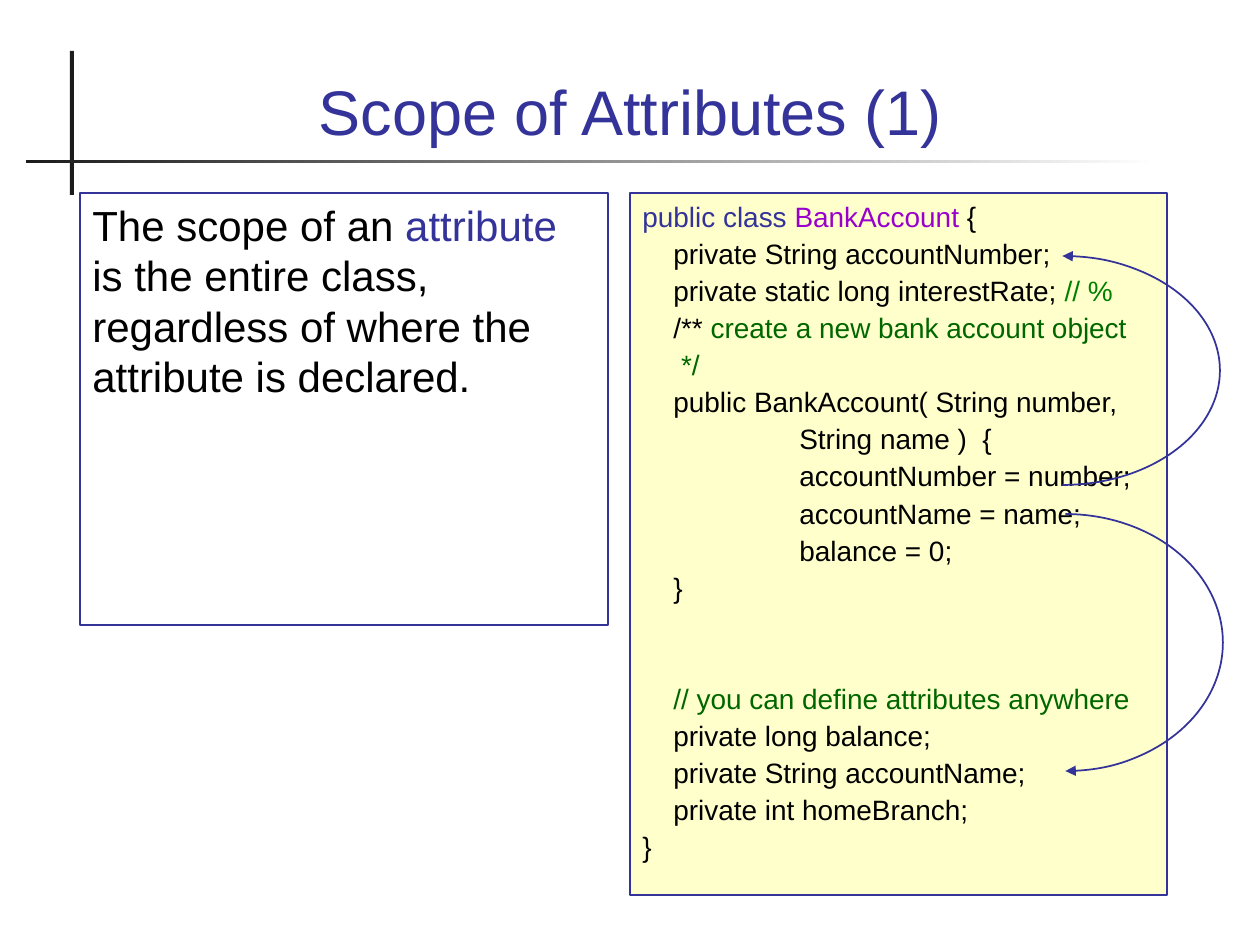
from dataclasses import dataclass

from pptx import Presentation
from pptx.dml.color import RGBColor
from pptx.enum.shapes import MSO_SHAPE
from pptx.enum.text import MSO_ANCHOR, PP_ALIGN
from pptx.util import Pt
from lxml import etree

RECT, ARC = MSO_SHAPE.RECTANGLE, MSO_SHAPE.ARC
TOP, BOTTOM = MSO_ANCHOR.TOP, MSO_ANCHOR.BOTTOM
LEFT, CENTER = PP_ALIGN.LEFT, PP_ALIGN.CENTER
DRAWING_NS = "{http://schemas.openxmlformats.org/drawingml/2006/main}"
EMU_PER_PX = 914400 / 126
BLANK_LAYOUT = 6


@dataclass(frozen=True)
class Theme:
    font: str = "Arial"
    title_size: int = 36
    body_size: int = 24
    code_size: int = 16
    line_width: int = 1
    blue: str = "333399"
    purple: str = "9900CC"
    green: str = "008000"
    dark_green: str = "006600"
    black: str = "000000"
    rule: str = "1C1C1C"
    white: str = "FFFFFF"
    cream: str = "FFFFCC"


THEME = Theme()


@dataclass(frozen=True)
class Area:
    left: int
    top: int
    width: int
    height: int

    def emu(self) -> list[int]:
        return [px(n) for n in (self.left, self.top, self.width, self.height)]


@dataclass(frozen=True)
class Span:
    text: str
    color: str = THEME.black


@dataclass(frozen=True)
class Line:
    spans: tuple[Span, ...]
    indent: int = 0
    before: float = 2


@dataclass(frozen=True)
class ScopeArrow:
    area: Area
    arrow_end: str


def px(length: int) -> int:
    return round(length * EMU_PER_PX)


def rgb(color: str) -> RGBColor:
    return RGBColor.from_string(color)


def code(text: str, indent: int = 0, color: str = THEME.black) -> Line:
    return Line((Span(text, color),), indent)


MEMBER, BODY = 31, 157  # code indents in px
BLANK_LINES = 44.4  # points left open above the late declarations

TITLE = [Line((Span("Scope of Attributes (1)", THEME.blue),))]
EXPLANATION = [Line((
    Span("The scope of an "),
    Span("attribute", THEME.blue),
    Span(" is the entire class, regardless of where the attribute is declared."),
))]
CODE = [
    Line((Span("public class ", THEME.blue), Span("BankAccount", THEME.purple), Span(" {"))),
    code("private String accountNumber;", MEMBER),
    Line((Span("private static long interestRate; "), Span("// %", THEME.green)), MEMBER),
    Line((Span("/** "), Span("create a new bank account object", THEME.dark_green)), MEMBER),
    code(" */", MEMBER, THEME.dark_green),
    code("public BankAccount( String number,", MEMBER),
    code("String name )  {", BODY),
    code("accountNumber = number;", BODY),
    code("accountName = name;", BODY),
    code("balance = 0;", BODY),
    code("}", MEMBER),
    Line((Span("// you can define attributes anywhere", THEME.dark_green),), MEMBER, BLANK_LINES),
    code("private long balance;", MEMBER),
    code("private String accountName;", MEMBER),
    code("private int homeBranch;", MEMBER),
    code("}"),
]
ARROWS = [
    ScopeArrow(Area(905, 256, 315, 229), "headEnd"),
    ScopeArrow(Area(908, 514, 315, 257), "tailEnd"),
]


def add_rule(page, area: Area, fades: bool = False) -> None:
    rule = page.shapes.add_shape(RECT, *area.emu())
    rule.shadow.inherit = False
    rule.line.fill.background()
    if fades:
        rule.fill.gradient()
        rule.fill.gradient_angle = 0
        for stop, color in zip(rule.fill.gradient_stops, (THEME.rule, THEME.white)):
            stop.color.rgb = rgb(color)
    else:
        rule.fill.solid()
        rule.fill.fore_color.rgb = rgb(THEME.rule)


def add_text(page, area: Area, lines: list[Line], size: int, align=LEFT, anchor=TOP):
    box = page.shapes.add_textbox(*area.emu())
    frame = box.text_frame
    frame.word_wrap = True
    frame.vertical_anchor = anchor
    for index, line in enumerate(lines):
        para = frame.add_paragraph() if index else frame.paragraphs[0]
        para.alignment = align
        if index:
            para.space_before = Pt(line.before)
        if line.indent:
            para._p.get_or_add_pPr().set("marL", str(px(line.indent)))
        for span in line.spans:
            run = para.add_run()
            run.text = span.text
            run.font.name = THEME.font
            run.font.size = Pt(size)
            run.font.color.rgb = rgb(span.color)
    return box


def outline(shape) -> None:
    shape.line.color.rgb = rgb(THEME.blue)
    shape.line.width = Pt(THEME.line_width)


def add_scope_arrow(page, arrow: ScopeArrow) -> None:
    arc = page.shapes.add_shape(ARC, *arrow.area.emu())
    arc.shadow.inherit = False
    arc.fill.background()
    # Right half of the ellipse, clockwise from 270 to 90 degrees
    arc.adjustments[0], arc.adjustments[1] = 162, 54
    outline(arc)
    etree.SubElement(arc.line._get_or_add_ln(), DRAWING_NS + arrow.arrow_end, type="triangle")


def main() -> None:
    deck = Presentation()
    deck.slide_width, deck.slide_height = px(1260), px(945)
    page = deck.slides.add_slide(deck.slide_layouts[BLANK_LAYOUT])

    # Crossed rules and title
    add_rule(page, Area(70, 51, 4, 144))
    add_rule(page, Area(26, 160, 1133, 3), fades=True)
    add_text(page, Area(85, 34, 1091, 120), TITLE, THEME.title_size, CENTER, BOTTOM)

    # Code listing and explanation
    listing = add_text(page, Area(630, 193, 537, 702), CODE, THEME.code_size)
    listing.fill.solid()
    listing.fill.fore_color.rgb = rgb(THEME.cream)
    outline(listing)
    outline(add_text(page, Area(80, 193, 528, 432), EXPLANATION, THEME.body_size))

    # Arrows from each use to its declaration
    for arrow in ARROWS:
        add_scope_arrow(page, arrow)

    deck.save("out.pptx")


if __name__ == "__main__":
    main()
